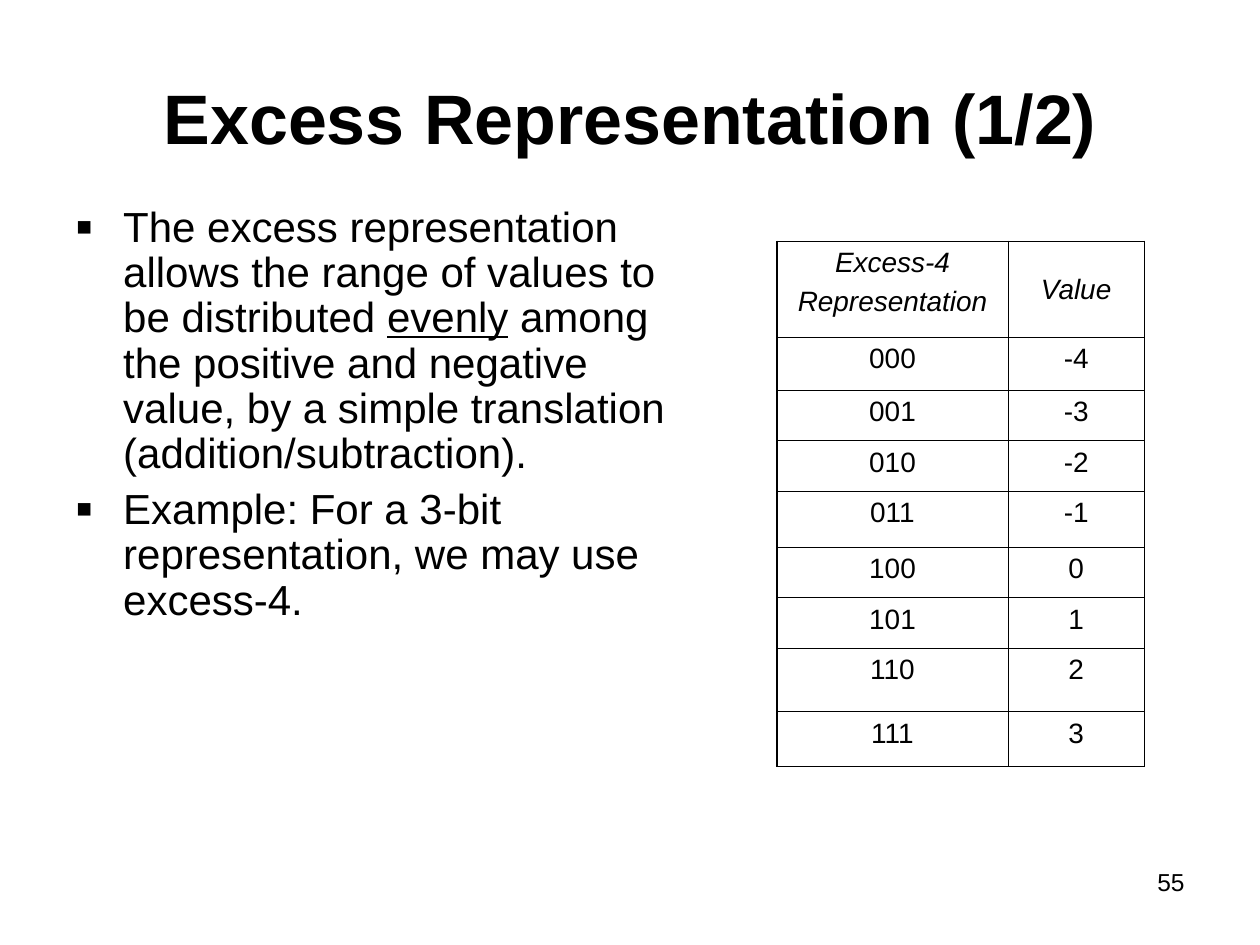
from lxml import etree
from pptx import Presentation
from pptx.dml.color import RGBColor
from pptx.enum.text import MSO_ANCHOR, PP_ALIGN
from pptx.oxml.ns import qn
from pptx.util import Inches, Pt

LEFT, MID, RIGHT = PP_ALIGN.LEFT, PP_ALIGN.CENTER, PP_ALIGN.RIGHT
TOP, CENTER = MSO_ANCHOR.TOP, MSO_ANCHOR.MIDDLE
FONT, INK = "Arial", "000000"
THIN, THICK = 0.45, 1.08
COLS = 120

HEADS = ["Excess-4\nRepresentation", "Value"]
CODES = [(f"{n:03b}", str(n - 4)) for n in range(8)]
WIDTHS = [22, 13]
HEIGHTS = [9.1, 5, 4.8, 4.8, 5.3, 4.8, 4.8, 6, 5.2]
POINTS = [
    ["The excess representation allows the range of values to be distributed ",
     "evenly",
     " among the positive and negative value, by a simple translation (addition/subtraction)."],
    ["Example: For a 3-bit representation, we may use excess-4."],
]


def color(code):
    return RGBColor.from_string(code)


def style(run, size, bold=False, italic=False, under=False):
    font = run.font
    font.name, font.size = FONT, Pt(size)
    font.bold, font.italic, font.underline = bold, italic, under
    font.color.rgb = color(INK)


def make_frame(slide, box, anchor=TOP):
    frame = slide.shapes.add_textbox(*box).text_frame
    frame.word_wrap = True
    frame.vertical_anchor = anchor
    return frame


def add_line(slide, box, text, size, align, anchor=TOP, bold=False):
    frame = make_frame(slide, box, anchor)
    frame.text = text
    para = frame.paragraphs[0]
    para.alignment = align
    style(para.runs[0], size, bold)


def add_bullet(para):
    props = para._p.get_or_add_pPr()
    props.set("marL", str(Inches(0.38)))
    props.set("indent", str(-Inches(0.38)))
    tint = etree.SubElement(props, qn("a:buClr"))
    etree.SubElement(tint, qn("a:srgbClr"), val=INK)
    etree.SubElement(props, qn("a:buSzPct"), val="120000")
    etree.SubElement(props, qn("a:buFont"), typeface=FONT)
    etree.SubElement(props, qn("a:buChar"), char="▪")


def add_points(slide, box):
    frame = make_frame(slide, box)
    for i, parts in enumerate(POINTS):
        para = frame.add_paragraph() if i else frame.paragraphs[0]
        add_bullet(para)
        para.alignment = LEFT
        para.line_spacing = 0.9
        para.space_before = Pt(6 if i else 0)
        for part in parts:
            run = para.add_run()
            run.text = part
            style(run, 24, under=part == "evenly")


def add_edges(cell, edges):
    props = cell._tc.get_or_add_tcPr()
    for side, outer in edges.items():
        width = Pt(THICK if outer else THIN)
        line = etree.SubElement(props, qn(f"a:ln{side}"), w=str(width))
        fill = etree.SubElement(line, qn("a:solidFill"))
        etree.SubElement(fill, qn("a:srgbClr"), val=INK)


def add_codes(slide, box):
    rows = [HEADS, *CODES]
    table = slide.shapes.add_table(len(rows), len(HEADS), *box).table
    table.first_row = table.horz_banding = False
    for col, share in zip(table.columns, WIDTHS):
        col.width = int(box[2] * share / sum(WIDTHS))
    for row, share in zip(table.rows, HEIGHTS):
        row.height = int(box[3] * share / sum(HEIGHTS))
    for r, row in enumerate(rows):
        for c, text in enumerate(row):
            cell = table.cell(r, c)
            add_edges(cell, {"L": c == 0, "R": c == len(row) - 1,
                             "T": r == 0, "B": r == len(rows) - 1})
            cell.fill.background()
            cell.vertical_anchor = CENTER if text == "Value" else TOP
            cell.text_frame.text = text
            for i, para in enumerate(cell.text_frame.paragraphs):
                para.alignment = MID
                para.space_before = Pt(4 if i else 0)
                style(para.runs[0], 16, italic=r == 0)


def main():
    deck = Presentation()
    deck.slide_width, deck.slide_height = Inches(10), Inches(7.5)
    slide = deck.slides.add_slide(deck.slide_layouts[6])
    unit = deck.slide_width / COLS

    def grid(*cells):
        return [int(n * unit) for n in cells]

    add_line(slide, grid(86, 82, 28, 6.2), "55", 14, RIGHT)
    add_line(slide, grid(6, 3.6, 108, 15), "Excess Representation (1/2)",
             40, MID, CENTER, True)
    add_points(slide, grid(6, 19, 61, 45))
    add_codes(slide, grid(74, 23, 35, 50))
    deck.save("out.pptx")


if __name__ == "__main__":
    main()
